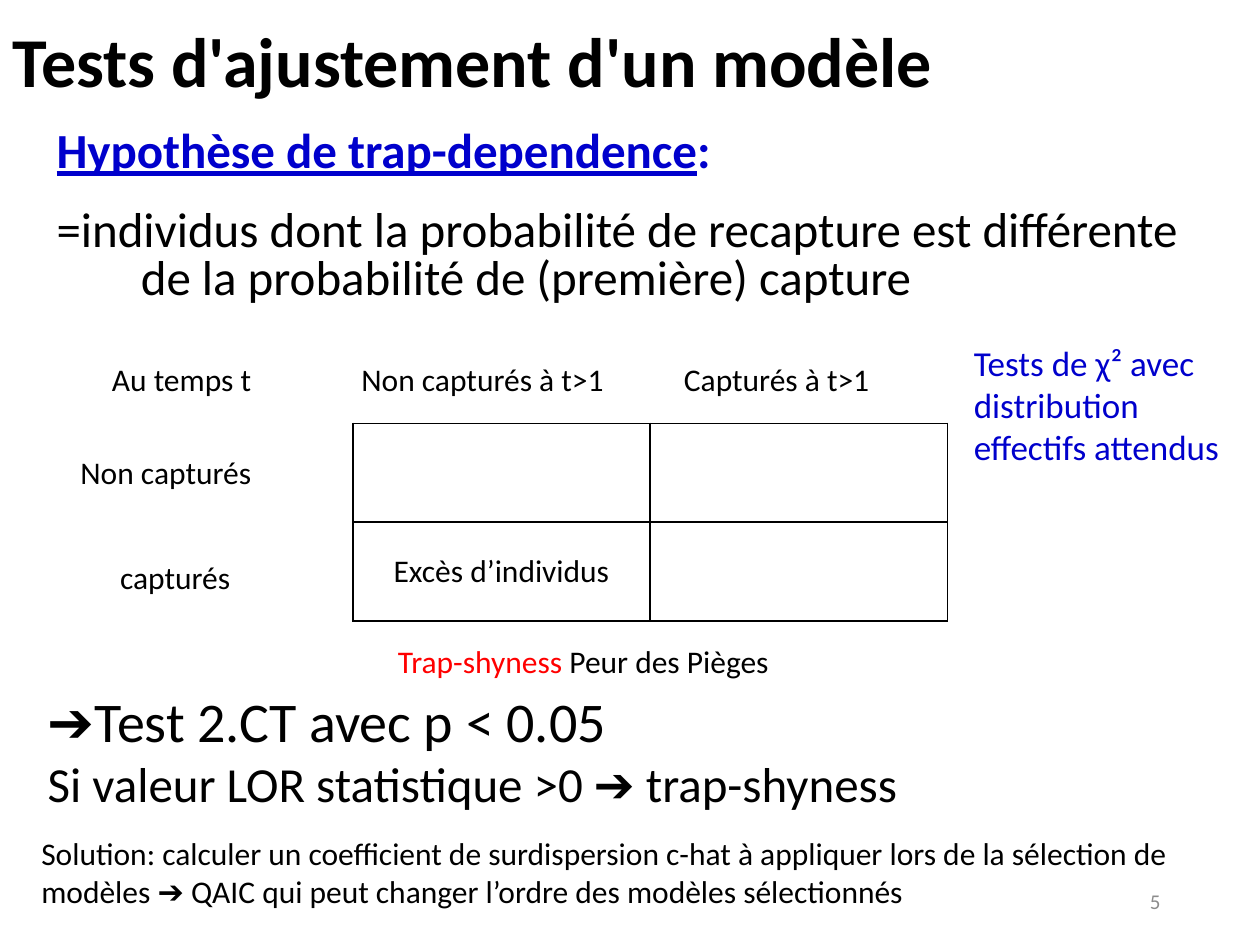
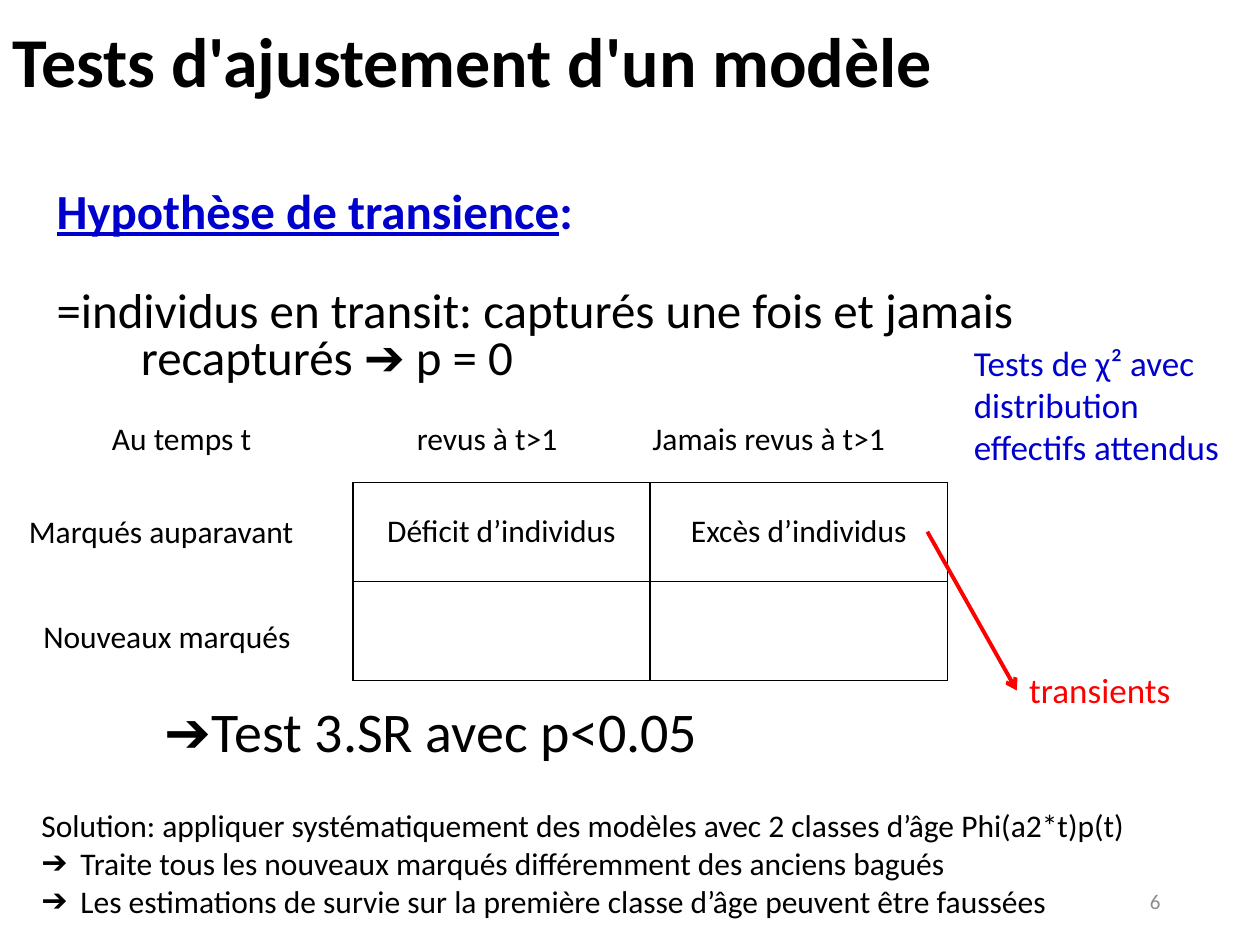
from lxml import etree
from pptx import Presentation
from pptx.dml.color import RGBColor
from pptx.enum.shapes import MSO_CONNECTOR as CONN
from pptx.enum.text import MSO_ANCHOR as ANCHOR, MSO_AUTO_SIZE as FIT, PP_ALIGN as ALIGN
from pptx.oxml.ns import qn
from pptx.util import Inches, Pt

# Shared look: a grid of 100 columns by 75 rows
SLIDE_W, SLIDE_H = Inches(10), Inches(7.5)
COL, ROW = SLIDE_W / 100, SLIDE_H / 75
FONT = "Calibri"
BLACK, BLUE, RED, GREY = "000000", "0000CC", "FF0000", "8C8C8C"
LABEL_H = 4.04
TITLE = "Tests d'ajustement d'un modèle"
CHI_NOTE = "Tests de χ² avec distribution effectifs attendus"


def rgb(hex_color):
    return RGBColor.from_string(hex_color)


def place(x, y, w, h):
    """Turn a box in columns and rows into slide lengths."""
    return round(x * COL), round(y * ROW), round(w * COL), round(h * ROW)


def add_run(p, text, size, color=BLACK, bold=False, underline=False):
    r = p.add_run()
    r.text = text
    font = r.font
    font.name, font.size, font.bold, font.underline = FONT, Pt(size), bold, underline
    font.color.rgb = rgb(color)


def hang(p, indent, bullet=None):
    """Give a paragraph a hanging indent and, if wanted, a bullet."""
    pPr = p._p.get_or_add_pPr()
    pPr.set("marL", str(Inches(indent)))
    pPr.set("indent", str(-Inches(indent)))
    if bullet:
        etree.SubElement(pPr, qn("a:buFont")).set("typeface", FONT)
        etree.SubElement(pPr, qn("a:buChar")).set("char", bullet)


def add_text(s, box, paragraphs, wrap=False, grow=True):
    """Add a text box; each paragraph is a list of add_run arguments."""
    tf = s.shapes.add_textbox(*place(*box)).text_frame
    tf.word_wrap = wrap
    tf.auto_size = FIT.SHAPE_TO_FIT_TEXT if grow else FIT.NONE
    for i, runs in enumerate(paragraphs):
        p = tf.paragraphs[0] if i == 0 else tf.add_paragraph()
        for run in runs:
            add_run(p, *run)
    return tf


def add_title(s):
    sp = s.shapes.title
    sp.left, sp.top, sp.width, sp.height = place(0, -1.1, 100, 12.5)
    tf = sp.text_frame
    tf.word_wrap = True
    tf.vertical_anchor = ANCHOR.MIDDLE
    p = tf.paragraphs[0]
    p.alignment, p.line_spacing = ALIGN.LEFT, 0.9
    add_run(p, TITLE, 40, bold=True)


def add_page_number(s, number):
    tf = add_text(s, (70.6, 69.5, 22.5, 4), [[(str(number), 12, GREY)]], wrap=True, grow=False)
    tf.vertical_anchor = ANCHOR.MIDDLE
    tf.paragraphs[0].alignment = ALIGN.RIGHT


def add_statement(s, y, h, *runs):
    """Tightly set line with a hanging indent below the title."""
    tf = add_text(s, (3.5, y, 92.1, h), [runs], wrap=True, grow=False)
    p = tf.paragraphs[0]
    p.line_spacing, p.space_before = 0.8, Pt(5.6)
    hang(p, 0.67)


def add_hypothesis(s, name, name_y, meaning, meaning_y, meaning_h):
    add_statement(s, name_y, 4.7, (name, 28, BLUE, True, True), (":", 28, BLUE, True))
    add_statement(s, meaning_y, meaning_h, (meaning, 28))


def draw_borders(cell):
    tcPr = cell._tc.get_or_add_tcPr()
    for side in ("lnL", "lnR", "lnT", "lnB"):
        ln = etree.SubElement(tcPr, qn(f"a:{side}"), w=str(Pt(1)))
        fill = etree.SubElement(ln, qn("a:solidFill"))
        etree.SubElement(fill, qn("a:srgbClr")).set("val", BLACK)


def add_contingency(s, y, column_labels, row_labels, cells):
    """2 x 2 table with labels centred above and to its left."""
    x, w, h = 28, 47.2, 15.7
    table = s.shapes.add_table(2, 2, *place(x, y, w, h)).table
    table.first_row = table.horz_banding = False
    for r, texts in enumerate(cells):
        for c, text in enumerate(texts):
            cell = table.cell(r, c)
            draw_borders(cell)
            cell.fill.background()
            cell.vertical_anchor = ANCHOR.MIDDLE
            p = cell.text_frame.paragraphs[0]
            p.alignment = ALIGN.CENTER
            if text:
                add_run(p, text, 18)

    # Each label is (text, width), centred on its own axis
    head_y = y - 5.5
    labels = [(("Au temps t", 14.1), x - 13.05, head_y)]
    labels += [(label, x + 11.4 + 23.2 * i, head_y) for i, label in enumerate(column_labels)]
    labels += [(label, x - 14.1 + 0.5 * i, y + 1.85 + 8.35 * i) for i, label in enumerate(row_labels)]
    for (text, width), center, top in labels:
        add_text(s, (center - width / 2, top, width, LABEL_H), [[(text, 18)]])


def add_arrow(s, x1, y1, x2, y2):
    ends = place(x1, y1, x2, y2)
    line = s.shapes.add_connector(CONN.STRAIGHT, *ends)
    line.line.color.rgb = rgb(RED)
    line.line.width = Pt(2.25)
    etree.SubElement(line.line._get_or_add_ln(), qn("a:tailEnd")).set("type", "arrow")
    etree.SubElement(line._element.spPr, qn("a:effectLst"))


def new_slide(prs, number):
    """Title, page number and chi-square note, found on every slide."""
    s = prs.slides.add_slide(prs.slide_layouts[5])
    add_title(s)
    add_page_number(s, number)
    add_text(s, (76.3, 26.6, 22.8, 14.5), [[(CHI_NOTE, 20, BLUE)]], wrap=True)
    return s


def trap_dependence_slide(prs):
    s = new_slide(prs, 5)
    add_hypothesis(s, "Hypothèse de trap-dependence", 9.9,
                   "=individus dont la probabilité de recapture est différente "
                   "de la probabilité de (première) capture", 16.2, 10.2)
    add_contingency(s, 33.6,
                    [("Non capturés à t>1", 23.4), ("Capturés à t>1", 18.6)],
                    [("Non capturés", 17), ("capturés", 11.7)],
                    [["", ""], ["Excès d’individus", ""]])
    add_text(s, (30.6, 50.5, 43, LABEL_H),
             [[("Trap-shyness ", 18, RED), ("Peur des Pièges", 18)]], wrap=True)

    # Test and remedy
    add_text(s, (2.8, 54, 79.8, 11.1),
             [[("➔Test 2.CT avec p < 0.05", 32)],
              [("Si valeur LOR statistique >0 ➔ trap-shyness", 28)]])
    add_text(s, (2.3, 65.7, 95.7, 7.1),
             [[("Solution: calculer un coefficient de surdispersion c-hat à appliquer "
                "lors de la sélection de modèles ➔ QAIC qui peut changer l’ordre "
                "des modèles sélectionnés", 18)]], wrap=True)


def transience_slide(prs):
    s = new_slide(prs, 6)
    add_hypothesis(s, "Hypothèse de transience", 14.7,
                   "=individus en transit: capturés une fois et jamais "
                   "recapturés ➔ p = 0", 22.6, 4.7)
    add_contingency(s, 38.3,
                    [("revus à t>1", 14.6), ("Jamais revus à t>1", 23.6)],
                    [("Marqués auparavant", 25.2), ("Nouveaux marqués", 23.9)],
                    [["Déficit d’individus", "Excès d’individus"], ["", ""]])
    add_arrow(s, 73.6, 42.2, 80.7, 54.8)
    add_text(s, (80.7, 52.6, 14.2, 4.4), [[("transients", 20, RED)]])

    # Test and remedy
    add_text(s, (12.1, 54.8, 52, 6.4), [[("➔Test 3.SR avec p<0.05", 32)]])
    remedy = ["Solution: appliquer systématiquement des modèles avec 2 classes d’âge Phi(a2*t)p(t)",
              "Traite tous les nouveaux marqués différemment des anciens bagués",
              "Les estimations de survie sur la première classe d’âge peuvent être faussées"]
    tf = add_text(s, (2.3, 63.5, 97.5, 10.1), [[(text, 18)] for text in remedy])
    for p in tf.paragraphs[1:]:
        hang(p, 0.31, "➔")


def main():
    prs = Presentation()
    prs.slide_width, prs.slide_height = SLIDE_W, SLIDE_H
    trap_dependence_slide(prs)
    transience_slide(prs)
    prs.save("out.pptx")


if __name__ == "__main__":
    main()
